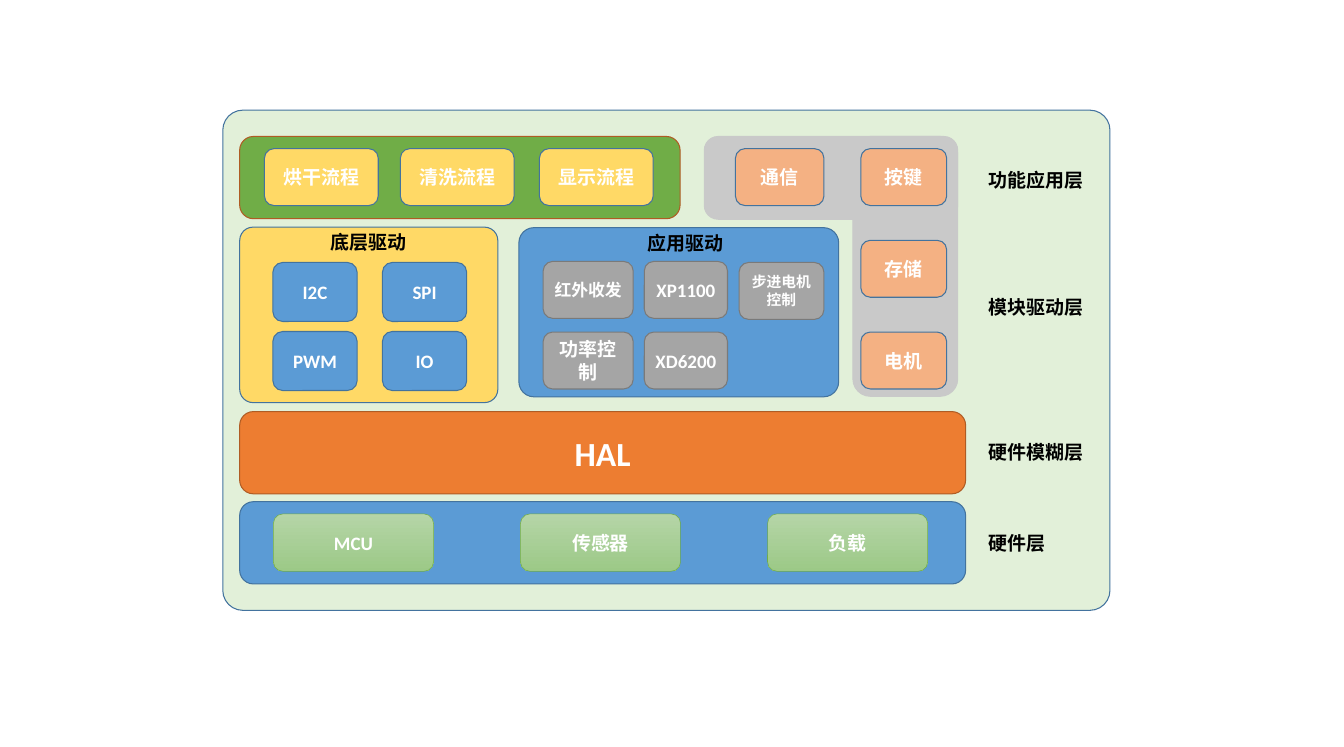
"""Draw the layered architecture of an embedded system on one slide."""
from dataclasses import dataclass

from pptx import Presentation
from pptx.dml.color import RGBColor
from pptx.enum.shapes import MSO_SHAPE
from pptx.enum.text import MSO_ANCHOR, PP_ALIGN
from pptx.util import Pt

ROUNDED = MSO_SHAPE.ROUNDED_RECTANGLE
MIDDLE, TOP = MSO_ANCHOR.MIDDLE, MSO_ANCHOR.TOP
CENTER, LEFT = PP_ALIGN.CENTER, PP_ALIGN.LEFT
FONT = "Calibri"
BLUE, BLUE_EDGE = "5B9BD5", "43739E"
ORANGE, ORANGE_EDGE = "ED7D31", "AF5C24"
GREEN, YELLOW, PEACH = "70AD47", "FFD966", "F4B183"
GRAY, GRAY_EDGE, SILVER = "A5A5A5", "7A7A7A", "C9C9C9"
PALE_GREEN, WHITE, BLACK = "E2F0D9", "FFFFFF", "000000"
SOFT_GREENS = ("B5D5A7", "9CC987")

SLIDE_WIDTH, SLIDE_HEIGHT = 1275.59, 708.66
LAYER_LEFT, LAYER_WIDTH, LAYER_HEIGHT = 227.5, 689, 78
TOP_ROW, MIDDLE_ROW, BOTTOM_ROW = 141, 228, 315
MODULE_HEIGHT = 54


@dataclass(frozen=True)
class Style:
    """Colours and line width of a box; two fills make a gradient."""
    fills: tuple[str, ...]
    edge: str
    edge_width: float = 1


@dataclass(frozen=True)
class Box:
    """A rounded box in points, with its text."""
    left: float
    top: float
    width: float
    height: float
    style: Style
    text: str = ""
    size: float = 18
    rounding: float = 0.1667


@dataclass(frozen=True)
class Label:
    """A black caption at a position in points."""
    left: float
    top: float
    text: str
    align: PP_ALIGN = LEFT


BACKDROP = Style((PALE_GREEN,), BLUE_EDGE)
SERVICE_PANEL = Style((SILVER,), SILVER)
BLUE_BOX = Style((BLUE,), BLUE_EDGE)
YELLOW_BOX = Style((YELLOW,), BLUE_EDGE)
PEACH_BOX = Style((PEACH,), BLUE_EDGE)
GRAY_BOX = Style((GRAY,), GRAY_EDGE)
HAL_BOX = Style((ORANGE,), ORANGE_EDGE)
FLOW_PANEL = Style((GREEN,), ORANGE_EDGE)
HARDWARE_BOX = Style(SOFT_GREENS, GREEN, 0.5)

PANELS = [
    Box(211.5, 104.5, 842, 474.5, BACKDROP, rounding=0.04),
    Box(809.5, 129.5, 99.5, 246.5, SERVICE_PANEL),
    Box(668.5, 129.5, 240.5, 78.5, SERVICE_PANEL),
    Box(492.5, 216, 303.5, 160.5, BLUE_BOX, rounding=0.089),
    Box(LAYER_LEFT, 215.5, 245, 166.5, YELLOW_BOX, rounding=0.076),
    Box(LAYER_LEFT, 476, LAYER_WIDTH, LAYER_HEIGHT, BLUE_BOX),
    Box(LAYER_LEFT, 390.5, LAYER_WIDTH, LAYER_HEIGHT, HAL_BOX, "HAL", 32),
]
FLOW_LAYER = Box(LAYER_LEFT, 129.5, 418, LAYER_HEIGHT, FLOW_PANEL)
HARDWARE = [
    Box(259.5 + 234.5 * column, 487.5, 152, 54.5, HARDWARE_BOX, name)
    for column, name in enumerate(("MCU", "传感器", "负载"))
]
BUS_DRIVERS = [
    Box(259 + 104 * column, 249 + 65.5 * row, 80, 56, BLUE_BOX, name)
    for row, names in enumerate((("I2C", "SPI"), ("PWM", "IO")))
    for column, name in enumerate(names)
]
FLOWS = [
    Box(left, TOP_ROW, 108, MODULE_HEIGHT, YELLOW_BOX, name)
    for left, name in ((251, "烘干流程"), (380, "清洗流程"), (512, "显示流程"))
]
APPLICATION_DRIVERS = [
    Box(left, top, width, MODULE_HEIGHT, GRAY_BOX, name, size)
    for left, top, width, name, size in (
        (515.5, 248, 85.5, "红外收发", 16),
        (611.5, 248, 79, "XP1100", 18),
        (701.5, 249, 80.5, "步进电机控制", 14),
        (515.5, BOTTOM_ROW, 85.5, "功率控制", 18),
        (611.5, BOTTOM_ROW, 79, "XD6200", 18),
    )
]
SERVICES = [
    Box(left, top, width, MODULE_HEIGHT, PEACH_BOX, name)
    for left, top, width, name in (
        (698, TOP_ROW, 84, "通信"),
        (817, TOP_ROW, 81.5, "按键"),
        (817, MIDDLE_ROW, 81.5, "存储"),
        (817, BOTTOM_ROW, 81.5, "电机"),
    )
]
LABELS = [
    Label(931.5, top, name)
    for top, name in (
        (156.5, "功能应用层"), (276.5, "模块驱动层"),
        (414.5, "硬件模糊层"), (500.5, "硬件层"),
    )
] + [
    Label(289, 215.5, "底层驱动", CENTER),
    Label(590, 216, "应用驱动", CENTER),
]


def color(value: str) -> RGBColor:
    """Turn a hex string into a colour."""
    return RGBColor.from_string(value)


def write_text(shape, text: str, *, size: float = 18, ink: str = WHITE,
               align: PP_ALIGN = CENTER, anchor: MSO_ANCHOR = MIDDLE) -> None:
    """Write bold wrapped text into a shape."""
    frame = shape.text_frame
    frame.word_wrap = True
    frame.vertical_anchor = anchor
    paragraph = frame.paragraphs[0]
    paragraph.alignment = align
    run = paragraph.add_run()
    run.text = text
    run.font.name = FONT
    run.font.size = Pt(size)
    run.font.bold = True
    run.font.color.rgb = color(ink)


def fill_shape(shape, fills: tuple[str, ...]) -> None:
    """Fill a shape with one colour or a downward gradient."""
    if len(fills) == 1:
        shape.fill.solid()
        shape.fill.fore_color.rgb = color(fills[0])
        return
    shape.fill.gradient()
    shape.fill.gradient_angle = 270
    for stop, value in zip(shape.fill.gradient_stops, fills):
        stop.color.rgb = color(value)


def draw_box(slide, box: Box) -> None:
    """Draw a rounded box with its text."""
    shape = slide.shapes.add_shape(
        ROUNDED, Pt(box.left), Pt(box.top), Pt(box.width), Pt(box.height))
    shape.shadow.inherit = False
    shape.adjustments[0] = box.rounding
    fill_shape(shape, box.style.fills)
    shape.line.color.rgb = color(box.style.edge)
    shape.line.width = Pt(box.style.edge_width)
    if box.text:
        write_text(shape, box.text, size=box.size)


def draw_label(slide, label: Label) -> None:
    """Draw a caption in a text box."""
    shape = slide.shapes.add_textbox(
        Pt(label.left), Pt(label.top), Pt(121.5), Pt(29))
    write_text(shape, label.text, ink=BLACK, align=label.align, anchor=TOP)


def main() -> None:
    """Build and save the presentation."""
    presentation = Presentation()
    presentation.slide_width = Pt(SLIDE_WIDTH)
    presentation.slide_height = Pt(SLIDE_HEIGHT)
    slide = presentation.slides.add_slide(presentation.slide_layouts[6])
    boxes = (PANELS + HARDWARE + BUS_DRIVERS + APPLICATION_DRIVERS
             + SERVICES + [FLOW_LAYER] + FLOWS)
    for box in boxes:
        draw_box(slide, box)
    for label in LABELS:
        draw_label(slide, label)
    presentation.save("out.pptx")


main()
